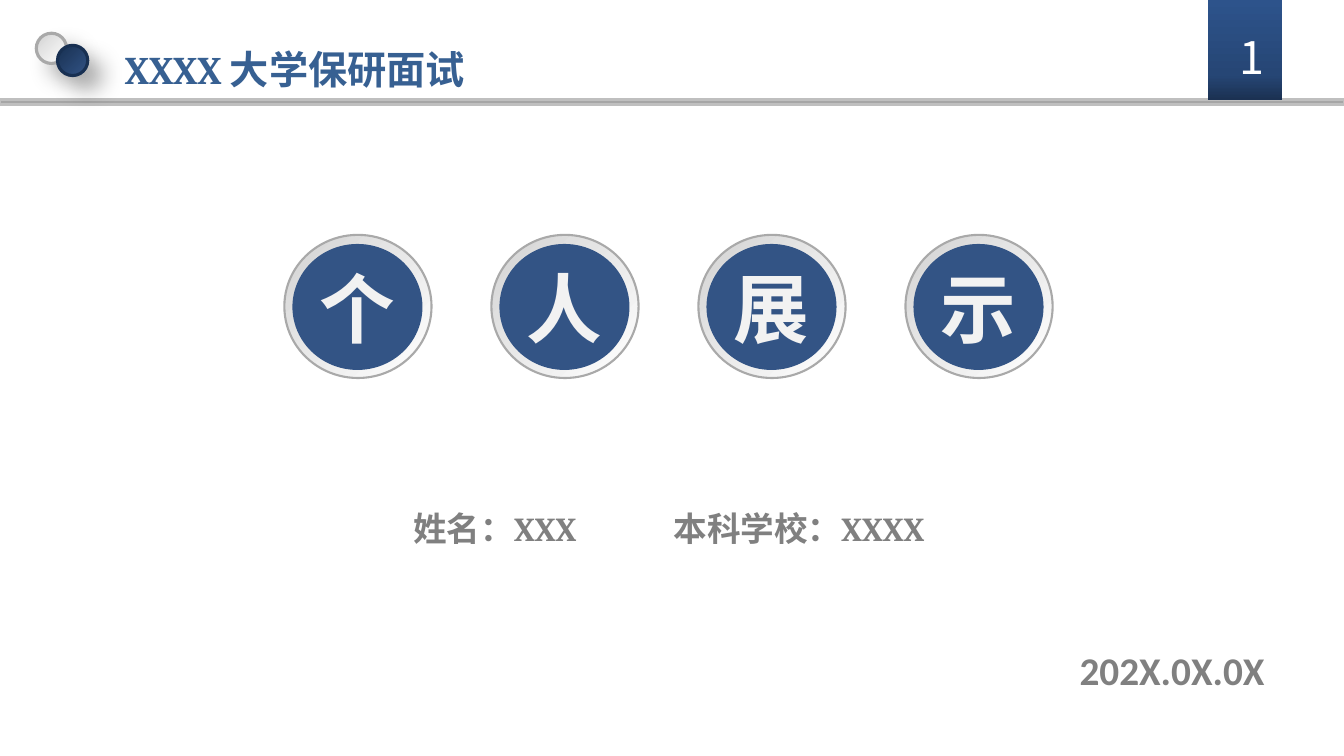
from copy import deepcopy
from pptx import Presentation
from pptx.dml.color import RGBColor
from pptx.enum.shapes import MSO_SHAPE as Kind
from pptx.enum.text import MSO_ANCHOR as Anchor, PP_ALIGN as Align
from pptx.oxml import parse_xml
from pptx.oxml.ns import nsdecls, qn
from pptx.util import Inches, Pt

NAVY, PEARL = "335485", [(0, "FFFFFF"), (1, "D3D3D3")]
GLOSS = [(0, NAVY), (1, "183052")]
TITLE = {"name": "Cambria", "size": Pt(28), "bold": True}
NAME = {"name": "Cambria", "size": Pt(24), "bold": True}
DATE = {"name": "Calibri", "size": Pt(28), "bold": True}
GLYPH = {"name": "Noto Sans CJK SC", "size": Pt(54), "bold": True}
PAGE = {"name": "Noto Sans CJK SC", "size": Pt(32), "bold": False}
BODY = {"word_wrap": True, "vertical_anchor": Anchor.TOP}
MID = {"word_wrap": False, "vertical_anchor": Anchor.MIDDLE}
FLUSH = {"margin_left": 0, "margin_right": 0, "margin_top": 0, "margin_bottom": 0}


def tint(code):
    return RGBColor.from_string(code)


def apply(item, style):
    for key, value in style.items():
        setattr(item, key, value)


class Deck:
    def __init__(self):
        self.deck = Presentation()
        self.deck.slide_width, self.deck.slide_height = Inches(13.33), Inches(7.5)
        self.slide = self.deck.slides.add_slide(self.deck.slide_layouts[6])

    def shape(self, kind, box, fill, line=None, width=0, turn=0):
        shape = self.slide.shapes.add_shape(kind, *map(Inches, box))
        shape.shadow.inherit = False
        shape.rotation = turn
        if isinstance(fill, str):
            shape.fill.solid()
            shape.fill.fore_color.rgb = tint(fill)
        else:
            self.blend(shape.fill, fill, 225 if turn else 90)
        if line:
            shape.line.color.rgb = tint(line)
            shape.line.width = Pt(width)
        else:
            shape.line.fill.background()
        return shape

    def blend(self, fill, stops, angle):
        fill.gradient()
        fill.gradient_angle = angle
        last = fill._xPr.find(qn("a:gradFill")).find(qn("a:gsLst"))[-1]
        for _ in stops[2:]:
            last.addnext(deepcopy(last))
        for stop, (place, code) in zip(fill.gradient_stops, stops):
            stop.position = place
            stop.color.rgb = tint(code)

    def ball(self, box, fill, line):
        shape = self.shape(Kind.OVAL, box, fill, line, 2.25, 90)
        shade = shape._element.spPr.find(qn("a:effectLst"))
        shade.append(parse_xml(
            f'<a:outerShdw {nsdecls("a")} blurRad="{Pt(16)}" dist="{Pt(14)}" '
            'dir="2700000" rotWithShape="0"><a:srgbClr val="000000">'
            '<a:alpha val="31000"/></a:srgbClr></a:outerShdw>'))

    def label(self, frame, text, font, color, align=Align.CENTER, space=1.5, tab=None):
        para = frame.paragraphs[0]
        apply(para, {"alignment": align, "line_spacing": space})
        if tab:
            para._p.get_or_add_pPr().append(parse_xml(
                f'<a:tabLst {nsdecls("a")}><a:tab pos="{Inches(tab)}" algn="l"/></a:tabLst>'))
        run = para.add_run()
        run.text = text
        apply(run.font, font)
        run.font.color.rgb = tint(color)
        return run

    def text(self, box, text, font, color, style=BODY, **para):
        frame = self.slide.shapes.add_textbox(*map(Inches, box)).text_frame
        apply(frame, style)
        self.label(frame, text, font, color, **para)

    def badge(self, left, text):
        self.shape(Kind.OVAL, (left, 2.31, 1.42, 1.46), PEARL, "A9A9A9", 1.5, 90)
        disc = self.shape(Kind.OVAL, (left + 0.06, 2.42, 1.29, 1.25), NAVY)
        apply(disc.text_frame, MID | FLUSH)
        mark = self.label(disc.text_frame, text, GLYPH, "F2F2F2", space=1)._r.get_or_add_rPr()
        mark.set("spc", "220")
        mark.find(qn("a:latin")).addnext(parse_xml(
            f'<a:ea {nsdecls("a")} typeface="{GLYPH["name"]}"/>'))


def main():
    deck = Deck()
    deck.shape(Kind.RECTANGLE, (0, 0.99, 13.33, 0.05), "A6A6A6", "BFBFBF", 2)
    deck.shape(Kind.RECTANGLE, (11.98, 0, 0.74, 0.99),
               [(0, "1B3152"), (0.25, "264675"), (1, "2D538B")])
    deck.ball((0.36, 0.33, 0.3, 0.3), PEARL, "A9A9A9")
    deck.ball((0.57, 0.45, 0.3, 0.3), GLOSS, "183052")
    deck.text((3.95, 4.79, 5.43, 0.63), "姓名：XXX\t本科学校：XXXX", NAME, "808080",
              BODY | {"margin_left": Inches(0.15)}, align=Align.LEFT, tab=2.58)
    deck.text((10.44, 6.13, 2.37, 0.73), "202X.0X.0X", DATE, "808080")
    for i, glyph in enumerate("个人展示"):
        deck.badge(2.84 + i * 6.16 / 3, glyph)
    deck.text((0.83, 0.17, 4.19, 0.81), "XXXX 大学保研面试", TITLE, "376092")
    deck.text((12.19, 0.41, 0.31, 0.3), "1", PAGE, "FFFFFF", MID, align=Align.LEFT, space=1)
    deck.deck.save("out.pptx")


if __name__ == "__main__":
    main()
